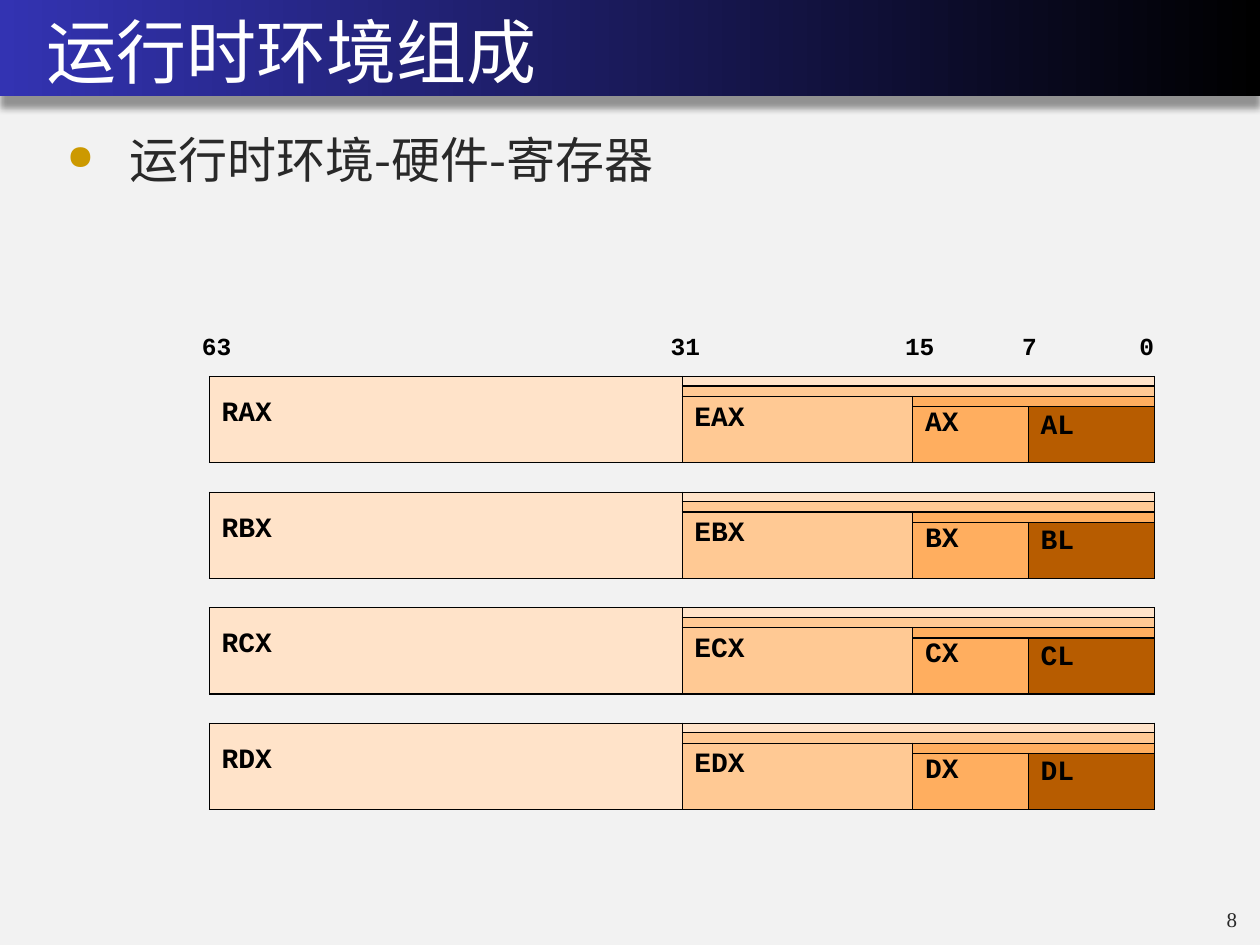
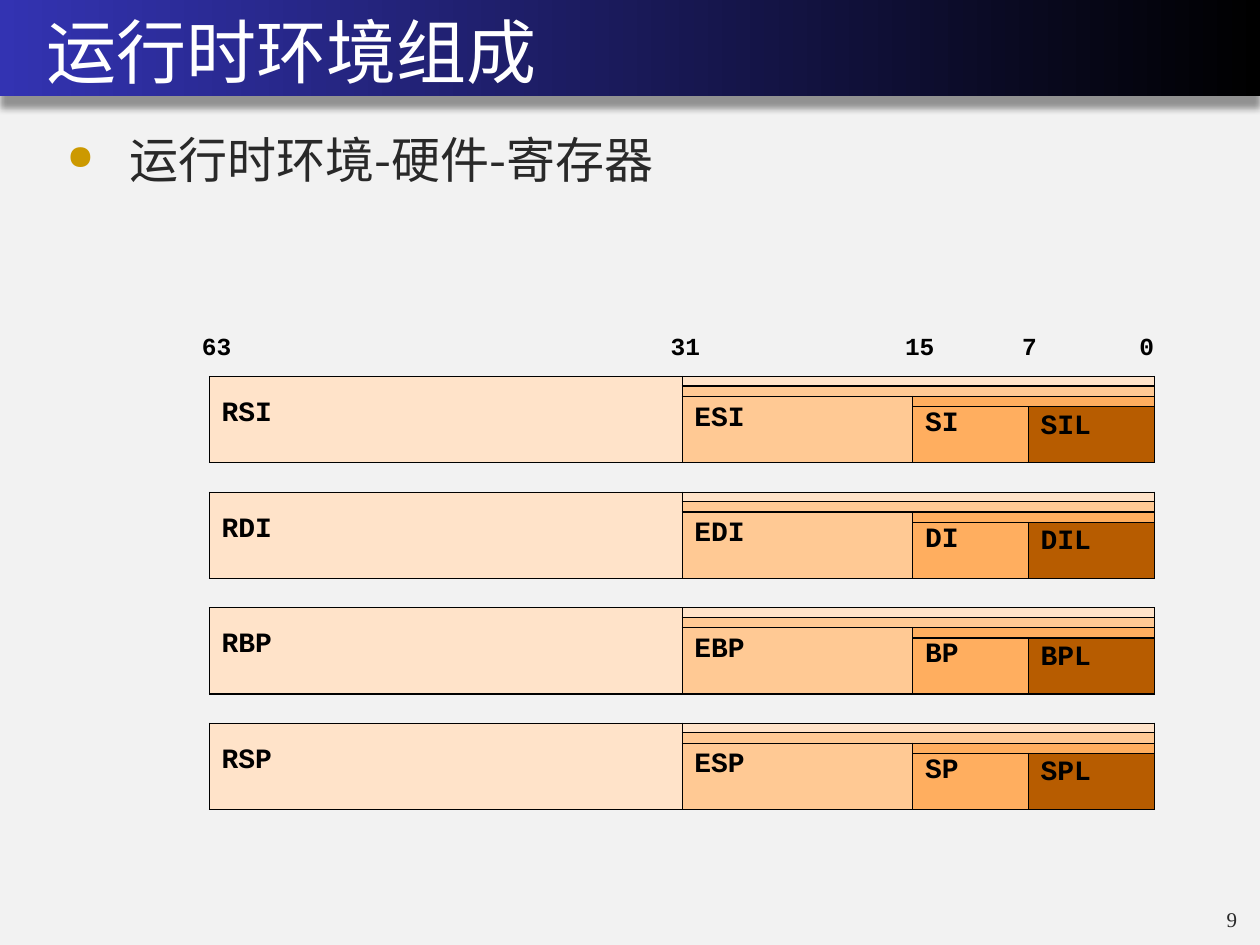
from dataclasses import dataclass

from lxml.etree import SubElement
from pptx import Presentation
from pptx.dml.color import RGBColor
from pptx.enum.shapes import MSO_SHAPE
from pptx.oxml.ns import qn
from pptx.util import Cm, Pt

COLORS = {
    "background": "F2F2F2", "black": "000000", "band": "3333B2",
    "title": "FFFFFF", "body": "292929", "bullet": "CC9900",
    "bits64": "FFE3C9", "bits32": "FFC994", "bits16": "FFAE5F", "bits8": "B75C00",
}
SANS, SERIF, MONO = "Noto Sans CJK SC", "Times New Roman", "Courier New"

TITLE = "运行时环境组成"
TOPIC = "运行时环境-硬件-寄存器"

# Page number and the 64, 32, 16 and 8 bit names of each register
SLIDES = {
    8: ["RAX EAX AX AL", "RBX EBX BX BL", "RCX ECX CX CL", "RDX EDX DX DL"],
    9: ["RSI ESI SI SIL", "RDI EDI DI DIL", "RBP EBP BP BPL", "RSP ESP SP SPL"],
}

# Register grid, in cm
GRID_LEFT, GRID_TOP, GRID_PITCH = 4.22, 7.59, 2.33
COL_WIDTHS = [9.53, 4.65, 2.33, 2.54]
ROW_HEIGHTS = [0.19, 0.21, 0.21, 1.13]

# Bit number and its distance in bytes from the left end
BIT_LABELS = {63: 0, 31: 4, 15: 6, 7: 7, 0: 8}
LABEL_LEFT, BYTE_WIDTH = 4.04, 2.3625


@dataclass(frozen=True)
class Region:
    """A block of table cells; name is the index of the register name in it."""
    row: int
    col: int
    rows: int
    cols: int
    color: str
    name: int | None = None
    inset: float = 0


REGIONS = [
    Region(0, 0, 4, 1, "bits64", 0, 0.44),
    Region(0, 1, 1, 3, "bits64"),
    Region(1, 1, 1, 3, "bits32"),
    Region(2, 1, 2, 1, "bits32", 1, 0.13),
    Region(2, 2, 1, 2, "bits16"),
    Region(3, 2, 1, 1, "bits16", 2, 0.03),
    Region(3, 3, 1, 1, "bits8", 3, 0.08),
]


def rgb(name: str) -> RGBColor:
    return RGBColor.from_string(COLORS[name])


def write_text(tf, text: str, *, size: float, font: str, color: str = "black",
               bold: bool = False, line: float | None = None, bullet: bool = False) -> None:
    p = tf.paragraphs[0]
    if line:
        p.line_spacing = Pt(line)
    if bullet:
        pPr = p._p.get_or_add_pPr()
        pPr.set("marL", str(Cm(1.27)))
        pPr.set("indent", str(-Cm(1.27)))
        clr = SubElement(pPr, qn("a:buClr"))
        SubElement(clr, qn("a:srgbClr"), val=COLORS["bullet"])
        SubElement(pPr, qn("a:buSzPct"), val="70000")
        SubElement(pPr, qn("a:buChar"), char="●")
    r = p.add_run()
    r.text = text
    r.font.size, r.font.name, r.font.bold = Pt(size), font, bold
    r.font.color.rgb = rgb(color)
    SubElement(r._r.get_or_add_rPr(), qn("a:ea"), typeface=font)


def add_text(s, text: str, left: float, top: float, width: float, height: float,
             *, inset_left: float = 0, inset_top: float = 0, **fmt) -> None:
    tf = s.shapes.add_textbox(Cm(left), Cm(top), Cm(width), Cm(height)).text_frame
    tf.word_wrap = True
    tf.margin_left, tf.margin_top = Cm(inset_left), Cm(inset_top)
    tf.margin_right = tf.margin_bottom = 0
    write_text(tf, text, **fmt)


def add_band(s, width: int) -> None:
    sp = s.shapes.add_shape(MSO_SHAPE.RECTANGLE, 0, 0, width, Cm(1.93))
    sp.line.fill.background()
    sp.fill.gradient()
    sp.fill.gradient_angle = 180
    for stop, color in zip(sp.fill.gradient_stops, ("black", "band")):
        stop.color.rgb = rgb(color)
    # Soft shadow straight below the band
    effects = SubElement(sp._element.spPr, qn("a:effectLst"))
    shadow = SubElement(effects, qn("a:outerShdw"), blurRad=str(Pt(4)),
                        dist=str(Pt(7)), dir="5400000", rotWithShape="0")
    clr = SubElement(shadow, qn("a:srgbClr"), val=COLORS["black"])
    SubElement(clr, qn("a:alpha"), val="40000")


def add_frame(s, width: int, page: int) -> None:
    add_band(s, width)
    add_text(s, TITLE, 0.91, 0.15, 11.35, 1.75, inset_left=0.03, inset_top=0.03,
             size=40, font=SANS, color="title")
    add_text(s, str(page), 24.2, 18.36, 0.8, 0.43, inset_left=0.53,
             size=12, font=SERIF, color="body", line=12.2)
    add_text(s, TOPIC, 1.35, 2.34, 23.72, 1.47, inset_top=0.28,
             size=28, font=SANS, color="body", bullet=True)


def style_cell(cell, color: str) -> None:
    cell.margin_left = cell.margin_right = cell.margin_top = cell.margin_bottom = 0
    # A tiny text size lets the thin rows stay thin
    cell.text_frame.paragraphs[0]._p.get_or_add_endParaRPr().set("sz", "100")
    tcPr = cell._tc.get_or_add_tcPr()
    for side in ("lnL", "lnR", "lnT", "lnB"):
        ln = SubElement(tcPr, qn(f"a:{side}"), w=str(Pt(0.75)))
        fill = SubElement(ln, qn("a:solidFill"))
        SubElement(fill, qn("a:srgbClr"), val=COLORS["black"])
    cell.fill.solid()
    cell.fill.fore_color.rgb = rgb(color)


def add_register(s, names: list[str], top: float) -> None:
    table = s.shapes.add_table(len(ROW_HEIGHTS), len(COL_WIDTHS), Cm(GRID_LEFT), Cm(top),
                               Cm(sum(COL_WIDTHS)), Cm(sum(ROW_HEIGHTS))).table
    table.first_row = table.horz_banding = False
    for column, width in zip(table.columns, COL_WIDTHS):
        column.width = Cm(width)
    for row, height in zip(table.rows, ROW_HEIGHTS):
        row.height = Cm(height)
    for region in REGIONS:
        last_row, last_col = region.row + region.rows, region.col + region.cols
        for i in range(region.row, last_row):
            for j in range(region.col, last_col):
                style_cell(table.cell(i, j), region.color)
        cell = table.cell(region.row, region.col)
        if region.rows * region.cols > 1:
            cell.merge(table.cell(last_row - 1, last_col - 1))
        if region.name is not None:
            cell.margin_left, cell.margin_top = Cm(0.25), Cm(region.inset)
            write_text(cell.text_frame, names[region.name], size=16, font=MONO, bold=True)


def add_bit_labels(s) -> None:
    for bit, offset in BIT_LABELS.items():
        add_text(s, str(bit), LABEL_LEFT + offset * BYTE_WIDTH, 6.6,
                 0.66 if bit > 9 else 0.38, 0.66, inset_left=0.03, inset_top=0.08,
                 size=14, font=MONO, bold=True)


def main() -> None:
    prs = Presentation()
    prs.slide_width, prs.slide_height = Cm(25.4), Cm(19.05)
    background = prs.slide_master.background.fill
    background.solid()
    background.fore_color.rgb = rgb("background")

    for page, registers in SLIDES.items():
        s = prs.slides.add_slide(prs.slide_layouts[6])
        add_frame(s, prs.slide_width, page)
        add_bit_labels(s)
        for i, names in enumerate(registers):
            add_register(s, names.split(), GRID_TOP + i * GRID_PITCH)

    prs.save("out.pptx")


if __name__ == "__main__":
    main()
